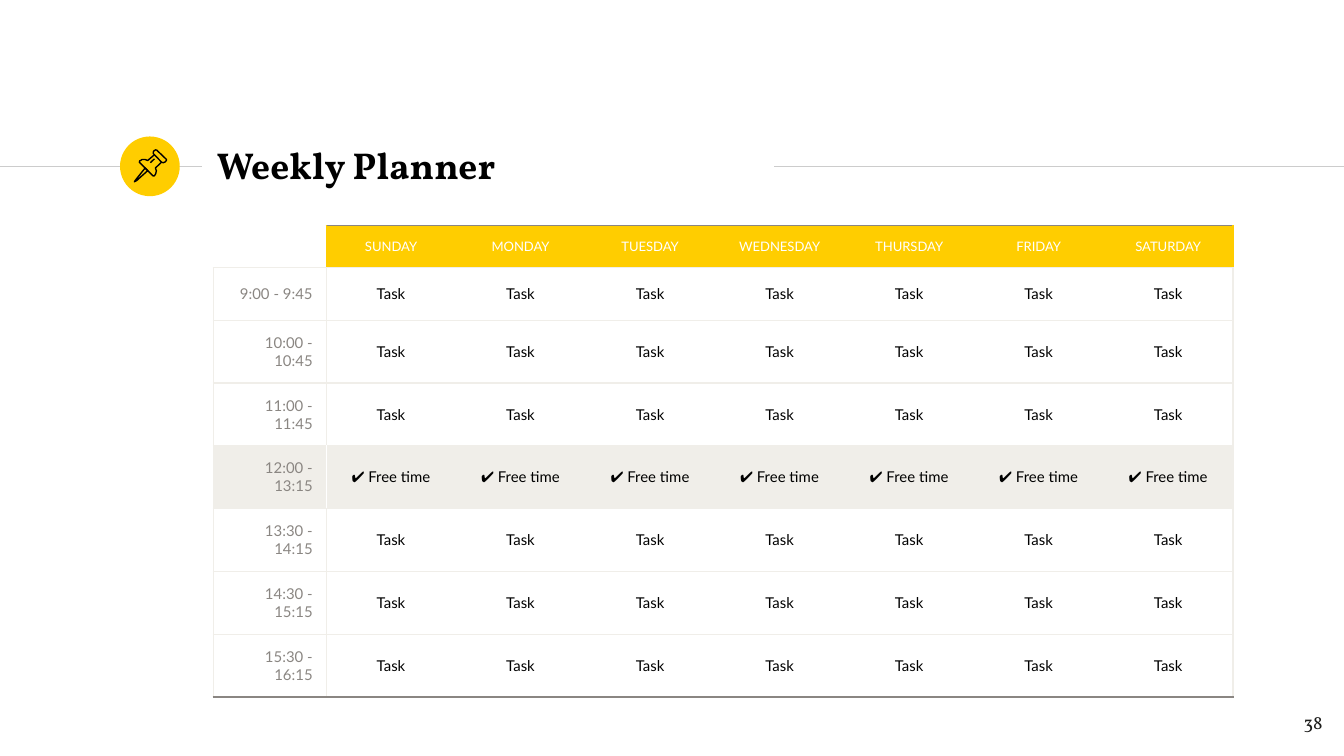
"""Build the weekly planner slide."""
from typing import NamedTuple, Optional

from lxml.etree import SubElement
from pptx import Presentation
from pptx.dml.color import RGBColor as RGB
from pptx.enum.shapes import MSO_CONNECTOR as CONN, MSO_SHAPE as SHAPE
from pptx.enum.text import MSO_ANCHOR as ANCHOR, MSO_AUTO_SIZE as AUTO, PP_ALIGN as ALIGN
from pptx.oxml.ns import qn
from pptx.util import Pt

COLORS = {
    "yellow": "FFCD00", "rule": "CCCCCC", "grid": "F0EEE9", "gray": "8A8682",
    "black": "000000", "white": "FFFFFF", "ink": "1D1D1B",
}
INSET = 7.2
RULE_Y = 89.1
LINE_W = 0.75
DAYS = ["SUNDAY", "MONDAY", "TUESDAY", "WEDNESDAY", "THURSDAY", "FRIDAY", "SATURDAY"]


class Style(NamedTuple):
    font: str
    size: float
    color: str
    align: ALIGN = ALIGN.LEFT
    bold: bool = False


class Slot(NamedTuple):
    time: str
    height: float
    task: str = "Task"
    fill: Optional[str] = None


class Stroke(NamedTuple):
    points: list[tuple[float, float]]
    closed: bool = False


TITLE = Style("Vollkorn", 20, "black", bold=True)
NUMBER = Style("Vollkorn", 10, "ink", ALIGN.RIGHT)
DAY = Style("Lato", 7, "white", ALIGN.CENTER)
TIME = Style("Lato", 8, "gray", ALIGN.RIGHT)
TASK = Style("Lato", 8, "black", ALIGN.CENTER)

SLOTS = [
    Slot("9:00 - 9:45", 28),
    Slot("10:00 - 10:45", 31.7),
    Slot("11:00 - 11:45", 28),
    Slot("12:00 - 13:15", 31.7, "✔ Free time", "grid"),
    Slot("13:30 - 14:15", 31.7),
    Slot("14:30 - 15:15", 31.7),
    Slot("15:30 - 16:15", 31.7),
]

PIN = [
    Stroke([(77.8, 90), (72.6, 96.5), (72, 97.4), (73.2, 96.8), (79.2, 91.4)], True),
    Stroke([(82.8, 82.9), (86.6, 86.9), (87.6, 87.2), (88.5, 86.8), (89.2, 86),
            (89.2, 85.4), (84, 80.4), (83.4, 80.3), (82.6, 80.7), (82.1, 81.5),
            (82.2, 82.3)], True),
    Stroke([(82.8, 82.9), (79.2, 86), (77.8, 85.5), (76.2, 85.5), (74.9, 86.2),
            (74.7, 87), (82.1, 94.3), (82.8, 94.2), (83.5, 93), (83.8, 91.5),
            (83.3, 90), (86.6, 86.9)]),
    Stroke([(80.6, 87.2), (82.8, 85.1)]),
]


def rgb(name: str) -> RGB:
    return RGB.from_string(COLORS[name])


def write(tf, text: str, style: Style) -> None:
    p = tf.paragraphs[0]
    p.text = text
    p.alignment = style.align
    p.font.name, p.font.size, p.font.bold = style.font, Pt(style.size), style.bold
    p.font.color.rgb = rgb(style.color)


def set_insets(box) -> None:
    box.margin_left = box.margin_right = box.margin_top = box.margin_bottom = Pt(INSET)


def add_rule(shapes, x1: float, x2: float) -> None:
    cxn = shapes.add_connector(CONN.STRAIGHT, Pt(x1), Pt(RULE_Y), Pt(x2), Pt(RULE_Y))
    cxn.line.color.rgb = rgb("rule")
    cxn.line.width = Pt(LINE_W)
    SubElement(cxn._element.spPr, qn("a:effectLst"))


def add_stroke(shapes, stroke: Stroke) -> None:
    start, *rest = [(Pt(x), Pt(y)) for x, y in stroke.points]
    fb = shapes.build_freeform(*start)
    fb.add_line_segments(rest, close=stroke.closed)
    sp = fb.convert_to_shape()
    sp.shadow.inherit = False
    sp.fill.background()
    sp.line.color.rgb = rgb("black")
    sp.line.width = Pt(LINE_W)


def vertical_border(row: int, edge: int) -> Optional[str]:
    if edge not in (0, 1, len(DAYS) + 1):
        return None
    if row == 0:
        return "yellow" if edge else None
    return "white" if edge == 1 and SLOTS[row - 1].fill else "grid"


def horizontal_border(edge: int, col: int) -> Optional[str]:
    if edge == 0:
        return "gray" if col else None
    return "gray" if edge == len(SLOTS) + 1 else "grid"


def set_borders(cell, row: int, col: int) -> None:
    borders = {
        "lnL": vertical_border(row, col), "lnR": vertical_border(row, col + 1),
        "lnT": horizontal_border(row, col), "lnB": horizontal_border(row + 1, col),
    }
    tc_pr = cell._tc.get_or_add_tcPr()
    for tag, color in borders.items():
        ln = SubElement(tc_pr, qn(f"a:{tag}"), w=str(Pt(LINE_W)))
        if color:
            fill = SubElement(ln, qn("a:solidFill"))
            SubElement(fill, qn("a:srgbClr"), val=COLORS[color])
        else:
            SubElement(ln, qn("a:noFill"))


def fill_cell(cell, row: int, col: int, text: str, style: Style, fill: Optional[str]) -> None:
    set_borders(cell, row, col)
    if fill:
        cell.fill.solid()
        cell.fill.fore_color.rgb = rgb(fill)
    else:
        cell.fill.background()
    set_insets(cell)
    cell.vertical_anchor = ANCHOR.MIDDLE
    write(cell.text_frame, text, style)


def add_planner(shapes) -> None:
    heights = [22.5] + [slot.height for slot in SLOTS]
    widths = [60.6] + [69.4] * len(DAYS)
    table = shapes.add_table(len(heights), len(widths), Pt(114.2), Pt(120.8),
                             Pt(sum(widths)), Pt(sum(heights))).table
    table.first_row = table.horz_banding = False
    for column, width in zip(table.columns, widths):
        column.width = Pt(width)
    for row, height in zip(table.rows, heights):
        row.height = Pt(height)
    for c, day in enumerate([""] + DAYS):
        fill_cell(table.cell(0, c), 0, c, day, DAY, "yellow" if day else None)
    for r, slot in enumerate(SLOTS, 1):
        for c in range(len(widths)):
            text, style = (slot.task, TASK) if c else (slot.time, TIME)
            fill_cell(table.cell(r, c), r, c, text, style, slot.fill)


def main() -> None:
    prs = Presentation()
    prs.slide_width, prs.slide_height = Pt(720), Pt(405)
    s = prs.slides.add_slide(prs.slide_layouts[5])
    shapes = s.shapes

    add_rule(shapes, 0, 108)
    sp = shapes.add_shape(SHAPE.OVAL, Pt(64.3), Pt(RULE_Y - 16), Pt(32), Pt(32))
    sp.shadow.inherit = False
    sp.fill.solid()
    sp.fill.fore_color.rgb = rgb("yellow")
    sp.line.fill.background()
    add_rule(shapes, 414.7, 720)

    title = shapes.title
    title.left, title.top, title.width, title.height = Pt(109), Pt(70.6), Pt(305.3), Pt(34.6)
    number = shapes.add_textbox(Pt(672.5), Pt(373.7), Pt(43.2), Pt(31))
    for box, text, style in ((title, "Weekly Planner", TITLE), (number, "38", NUMBER)):
        tf = box.text_frame
        tf.word_wrap, tf.auto_size = True, AUTO.NONE
        set_insets(tf)
        write(tf, text, style)
    title.text_frame.vertical_anchor = ANCHOR.MIDDLE

    add_planner(shapes)
    pin = shapes.add_group_shape()
    for stroke in PIN:
        add_stroke(pin.shapes, stroke)
    prs.save("out.pptx")


if __name__ == "__main__":
    main()
